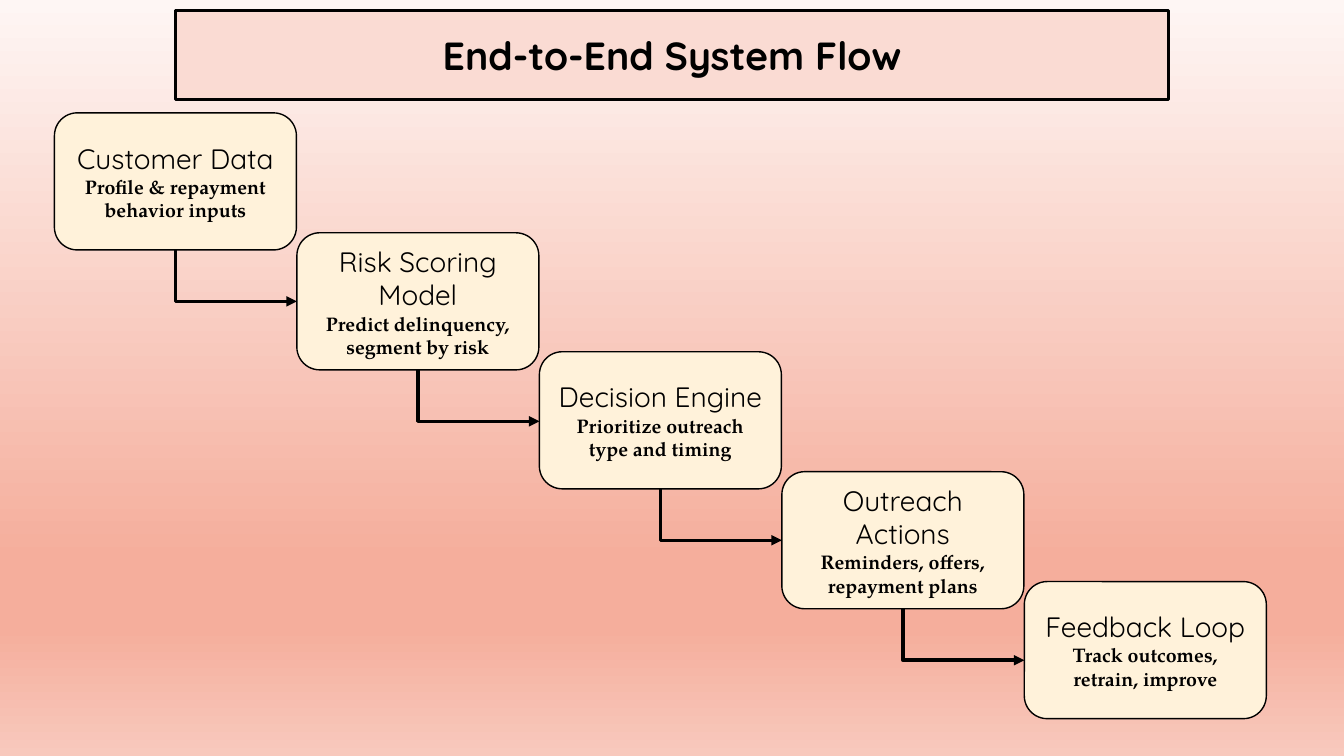
from pptx import Presentation
from pptx.dml.color import RGBColor
from pptx.enum.shapes import MSO_CONNECTOR as Connector, MSO_SHAPE as Shape
from pptx.enum.text import MSO_ANCHOR as Anchor, PP_ALIGN as Align
from pptx.oxml.ns import qn
from pptx.util import Inches, Pt
from lxml.etree import SubElement

CARD_WIDTH, CARD_HEIGHT = 2.4, 1.36
FIRST_LEFT, STEP = 0.54, 2.405
ELBOW_DROP = 0.51
BOTTOM_SITE, LEFT_SITE = 2, 1

STAGES = [
    (1.12, "Customer Data", "Profile & repayment behavior inputs"),
    (2.31, "Risk Scoring Model", "Predict delinquency, segment by risk"),
    (3.49, "Decision Engine", "Prioritize outreach type and timing"),
    (4.68, "Outreach Actions", "Reminders, offers, repayment plans"),
    (5.77, "Feedback Loop", "Track outcomes, retrain, improve"),
]


def color(value):
    return RGBColor.from_string(value)


def write(paragraph, text, font="Quicksand", size=20, bold=False, ink="000000"):
    paragraph.alignment = Align.CENTER
    run = paragraph.add_run()
    run.text = text
    run.font.name = font
    run.font.size = Pt(size)
    run.font.bold = bold
    run.font.color.rgb = color(ink)


class FlowSlide:
    ink = "000000"
    title_fill = "FADBD3"
    card_fill = "FFF2DA"
    detail_font = "TeX Gyre Pagella"
    gradient = [(0, "FEF6F4"), (74, "F5AE9C"), (83, "F5AE9C"), (100, "F8C9BD")]

    def __init__(self, presentation):
        self.slide = presentation.slides.add_slide(presentation.slide_layouts[6])

    def background(self):
        fill = self.slide.background.fill
        fill.gradient()
        fill.gradient_angle = 270
        stops = next(self.slide.element.iter(qn("a:gsLst")))
        for stop in list(stops):
            stops.remove(stop)
        for percent, value in self.gradient:
            stop = SubElement(stops, qn("a:gs"), pos=str(percent * 1000))
            SubElement(stop, qn("a:srgbClr"), val=value)

    def box(self, kind, left, top, width, height, fill, line_width):
        shape = self.slide.shapes.add_shape(
            kind, Inches(left), Inches(top), Inches(width), Inches(height))
        shape.shadow.inherit = False
        shape.fill.solid()
        shape.fill.fore_color.rgb = color(fill)
        shape.line.color.rgb = color(self.ink)
        shape.line.width = Pt(line_width)
        shape.text_frame.word_wrap = True
        shape.text_frame.vertical_anchor = Anchor.MIDDLE
        return shape

    def title(self, text):
        shape = self.box(Shape.RECTANGLE, 1.74, 0.1, 9.85, 0.89, self.title_fill, 2.25)
        write(shape.text_frame.paragraphs[0], text, size=28, bold=True)

    def card(self, left, top, name, detail):
        shape = self.box(Shape.ROUNDED_RECTANGLE, left, top,
                         CARD_WIDTH, CARD_HEIGHT, self.card_fill, 1)
        write(shape.text_frame.paragraphs[0], name)
        write(shape.text_frame.add_paragraph(), detail,
              font=self.detail_font, size=14, bold=True)
        return shape

    def elbow(self, source, target):
        connector = self.slide.shapes.add_connector(Connector.ELBOW, 0, 0, 0, 0)
        connector.begin_connect(source, BOTTOM_SITE)
        connector.end_connect(target, LEFT_SITE)
        start_x = source.left + source.width // 2
        start_y = source.top + source.height
        run, drop = target.left - start_x, Inches(ELBOW_DROP)
        connector.left = start_x + (run - drop) // 2
        connector.top = start_y + (drop - run) // 2
        connector.width, connector.height = drop, run
        properties = connector.element.spPr
        frame = properties.find(qn("a:xfrm"))
        frame.set("rot", "16200000")
        frame.set("flipH", "1")
        properties.find(qn("a:prstGeom")).set("prst", "bentConnector2")
        connector.line.color.rgb = color(self.ink)
        connector.line.width = Pt(2.5)
        SubElement(properties.find(qn("a:ln")), qn("a:tailEnd"), type="triangle")
        SubElement(properties, qn("a:effectLst"))


def main():
    presentation = Presentation()
    presentation.slide_width = Inches(13.33)
    presentation.slide_height = Inches(7.5)
    flow = FlowSlide(presentation)
    flow.background()
    flow.title("End-to-End System Flow")
    cards = [flow.card(FIRST_LEFT + index * STEP, top, name, detail)
             for index, (top, name, detail) in enumerate(STAGES)]
    for source, target in zip(cards, cards[1:]):
        flow.elbow(source, target)
    presentation.save("out.pptx")


if __name__ == "__main__":
    main()
